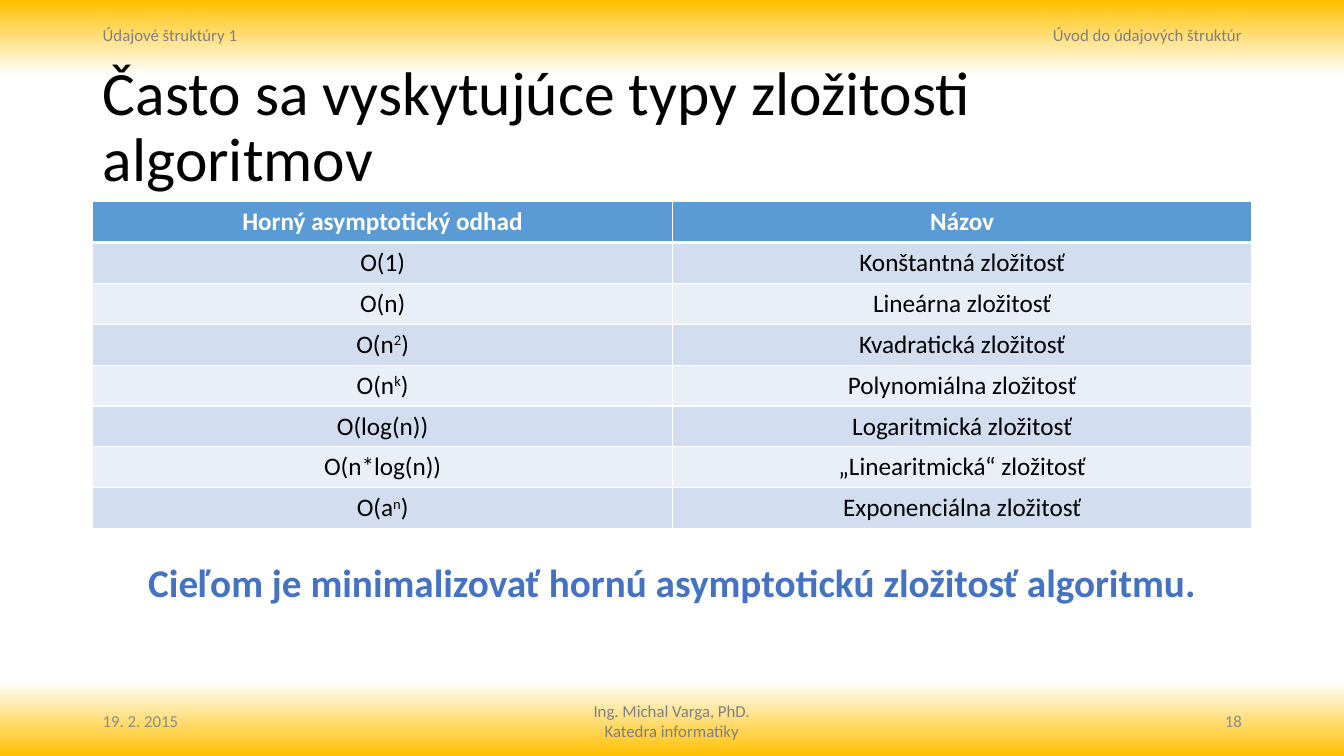
from copy import deepcopy
from dataclasses import dataclass

from lxml.etree import SubElement
from pptx import Presentation
from pptx.dml.color import RGBColor
from pptx.enum.text import MSO_ANCHOR as Anchor, MSO_AUTO_SIZE as AutoSize, PP_ALIGN as Align
from pptx.oxml.ns import qn
from pptx.slide import Slide
from pptx.table import _Cell as Cell
from pptx.text.text import TextFrame, _Paragraph as Paragraph
from pptx.util import Cm, Pt

BLACK = RGBColor(0x00, 0x00, 0x00)
WHITE = RGBColor(0xFF, 0xFF, 0xFF)
GOLD = RGBColor(0xFF, 0xC0, 0x00)
GREY = RGBColor(0x80, 0x80, 0x80)
LIGHT_GREY = RGBColor(0x8C, 0x8C, 0x8C)
ACCENT = RGBColor(0x44, 0x72, 0xC4)
HEADER_FILL = RGBColor(0x5B, 0x9B, 0xD5)
BAND_FILLS = (RGBColor(0xD2, 0xDE, 0xEF), RGBColor(0xEA, 0xEF, 0xF7))

LEFT, WIDTH = 2.34, 29.21
SIDE_WIDTH = 7.62
RIGHT_LEFT = LEFT + WIDTH - SIDE_WIDTH
TABLE_TOP, ROW_HEIGHT = 5.08, 1.03


@dataclass(frozen=True)
class Style:
    size: float
    color: RGBColor
    bold: bool = False
    align: Align = Align.CENTER


@dataclass(frozen=True)
class Label:
    text: str
    left: float
    top: float
    width: float
    height: float
    style: Style
    anchor: Anchor = Anchor.TOP
    wrap: bool = True


@dataclass(frozen=True)
class Complexity:
    """A bound given as base, exponent and ending, with its name."""
    base: str
    name: str
    exponent: str = ""
    ending: str = ""


LABELS = [
    Label("Ing. Michal Varga, PhD.\nKatedra informatiky", 12.09, 17.53, 9.68, 1.27,
          Style(12, GREY)),
    Label("Údajové štruktúry 1", LEFT, 0.51, SIDE_WIDTH, 0.79,
          Style(12, GREY, align=Align.LEFT)),
    Label("Úvod do údajových štruktúr", RIGHT_LEFT, 0.51, SIDE_WIDTH, 0.79,
          Style(12, GREY, align=Align.RIGHT)),
    Label("19. 2. 2015", LEFT, 17.65, SIDE_WIDTH, 1.02,
          Style(12, LIGHT_GREY, align=Align.LEFT), Anchor.MIDDLE),
    Label("18", RIGHT_LEFT, 17.65, SIDE_WIDTH, 1.02,
          Style(12, LIGHT_GREY, align=Align.RIGHT), Anchor.MIDDLE),
    Label("Cieľom je minimalizovať hornú asymptotickú zložitosť algoritmu.",
          3.33, 13.94, 27.2, 1.45, Style(28, ACCENT, bold=True), wrap=False),
]

HEADER = Complexity("Horný asymptotický odhad", "Názov")
COMPLEXITIES = [
    Complexity("O(1)", "Konštantná zložitosť"),
    Complexity("O(n)", "Lineárna zložitosť"),
    Complexity("O(n", "Kvadratická zložitosť", "2", ")"),
    Complexity("O(n", "Polynomiálna zložitosť", "k", ")"),
    Complexity("O(log(n))", "Logaritmická zložitosť"),
    Complexity("O(n*log(n))", "„Linearitmická“ zložitosť"),
    Complexity("O(a", "Exponenciálna zložitosť", "n", ")"),
]


def add_span(para: Paragraph, text: str, style: Style, raised: bool = False) -> None:
    span = para.add_run()
    span.text = text
    span.font.color.rgb = style.color
    formats = {"name": "Calibri", "size": Pt(style.size), "bold": style.bold}
    for name, value in formats.items():
        setattr(span.font, name, value)
    if raised:
        span.font._element.set("baseline", "30000")


def write(frame: TextFrame, text: str, style: Style) -> None:
    for index, line in enumerate(text.split("\n")):
        para = frame.add_paragraph() if index else frame.paragraphs[0]
        para.alignment = style.align
        add_span(para, line, style)


def paint_background(page: Slide) -> None:
    """Fade from gold at the top and bottom edges to white between them."""
    fill = page.background.fill
    fill.gradient()
    fill.gradient_angle = 90
    stop_list = page.element.find(".//" + qn("a:gsLst"))
    for stop in list(stop_list):
        stop_list.append(deepcopy(stop))
    stops = ((0, GOLD), (0.1, WHITE), (0.9, WHITE), (1, GOLD))
    for stop, (position, color) in zip(fill.gradient_stops, stops):
        stop.position = position
        stop.color.rgb = color


def add_title(page: Slide) -> None:
    title = page.shapes.title
    title.left, title.top, title.width, title.height = (
        Cm(LEFT), Cm(1.78), Cm(WIDTH), Cm(2.92))
    frame = title.text_frame
    formats = {"word_wrap": True, "auto_size": AutoSize.NONE,
               "vertical_anchor": Anchor.MIDDLE}
    for name, value in formats.items():
        setattr(frame, name, value)
    write(frame, "Často sa vyskytujúce typy zložitosti algoritmov",
          Style(44, BLACK, align=Align.LEFT))
    frame.paragraphs[0].line_spacing = 0.9


def add_label(page: Slide, label: Label) -> None:
    box = page.shapes.add_textbox(
        Cm(label.left), Cm(label.top), Cm(label.width), Cm(label.height))
    box.text_frame.word_wrap = label.wrap
    box.text_frame.vertical_anchor = label.anchor
    write(box.text_frame, label.text, label.style)


def format_cell(cell: Cell, color: RGBColor, bottom: float, top: float) -> None:
    """Give the cell white borders and a solid fill."""
    properties = cell._tc.get_or_add_tcPr()
    for side, points in {"L": 1, "R": 1, "T": top, "B": bottom}.items():
        line = SubElement(properties, qn(f"a:ln{side}"), w=str(Pt(points)))
        solid = SubElement(line, qn("a:solidFill"))
        SubElement(solid, qn("a:srgbClr"), val=str(WHITE))
    cell.fill.solid()
    cell.fill.fore_color.rgb = color


def add_complexity_table(page: Slide) -> None:
    entries = [HEADER, *COMPLEXITIES]
    table = page.shapes.add_table(
        len(entries), 2, Cm(LEFT), Cm(TABLE_TOP), Cm(WIDTH),
        Cm(ROW_HEIGHT * len(entries))).table
    for row, entry in enumerate(entries):
        is_header = row == 0
        style = Style(18, WHITE if is_header else BLACK, bold=is_header)
        color = HEADER_FILL if is_header else BAND_FILLS[(row - 1) % 2]
        bound, name = table.cell(row, 0), table.cell(row, 1)
        for cell, text in ((bound, entry.base), (name, entry.name)):
            format_cell(cell, color, bottom=3 if is_header else 1,
                        top=3 if row == 1 else 1)
            write(cell.text_frame, text, style)
        if entry.exponent:
            para = bound.text_frame.paragraphs[0]
            add_span(para, entry.exponent, style, raised=True)
            add_span(para, entry.ending, style)


def main() -> None:
    deck = Presentation()
    deck.slide_width, deck.slide_height = Cm(33.87), Cm(19.05)
    page = deck.slides.add_slide(deck.slide_layouts.get_by_name("Title Only"))
    paint_background(page)
    add_title(page)
    add_complexity_table(page)
    for label in LABELS:
        add_label(page, label)
    deck.save("out.pptx")


if __name__ == "__main__":
    main()
